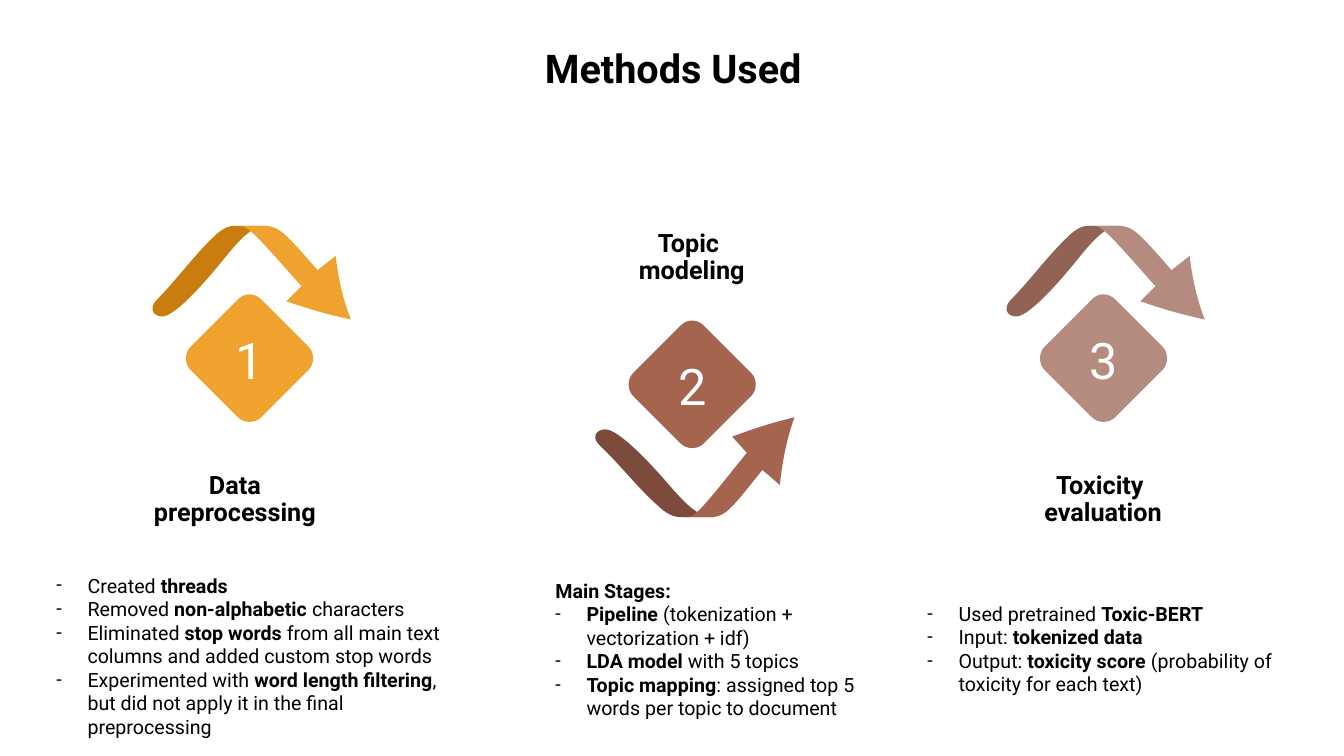
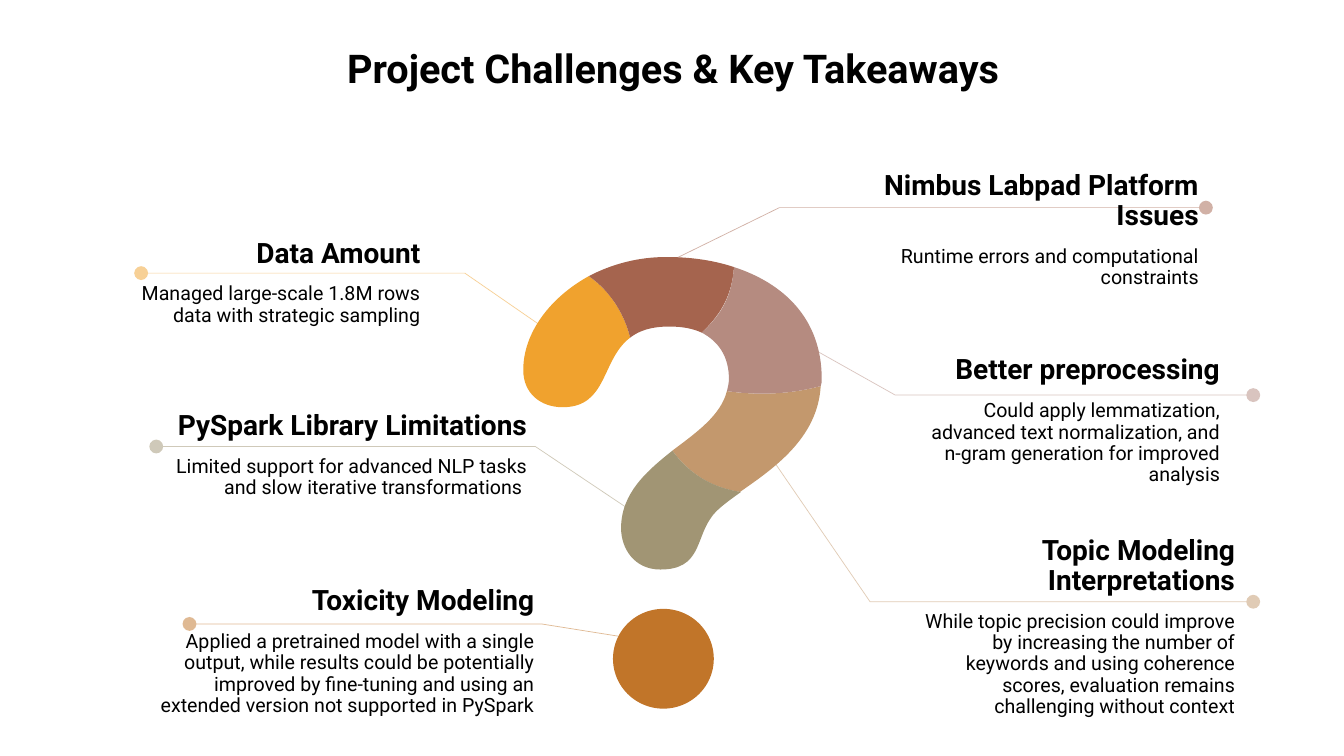
from lxml.etree import SubElement
from pptx import Presentation
from pptx.dml.color import RGBColor
from pptx.enum.shapes import MSO_SHAPE
from pptx.enum.text import MSO_ANCHOR, MSO_AUTO_SIZE, PP_ALIGN
from pptx.oxml.ns import qn
from pptx.util import Inches, Pt

# Shared look
FONT = "Roboto"
BLACK = RGBColor(0x00, 0x00, 0x00)
WHITE = RGBColor(0xFF, 0xFF, 0xFF)
AMBER = RGBColor(0xF0, 0xA2, 0x2E)
OCHRE = RGBColor(0xC8, 0x7D, 0x0E)
RUST = RGBColor(0xA5, 0x64, 0x4E)
BROWN = RGBColor(0x7C, 0x4B, 0x3B)
ROSE = RGBColor(0xB5, 0x8B, 0x80)
MAUVE = RGBColor(0x92, 0x62, 0x55)
TAN = RGBColor(0xC3, 0x98, 0x6D)
OLIVE = RGBColor(0xA1, 0x95, 0x74)
COPPER = RGBColor(0xC1, 0x75, 0x29)

# Outlines in inches: start point, then lines (2 numbers) or curves (6 numbers)
TAIL = [(.87, 0), (.83, 0, .76, 0, .65, .11), (.44, .31, .28, .54, .08, .74),
        (0, .83, .06, .9, .14, .9), (.27, .9, .59, .53, .75, .33),
        (.89, .16, 1.02, 0, 1.17, 0)]
HEAD = [(.5, .75), (.65, .6), (.12, 0, .12, 0, 0, 0), (.3, 0),
        (.44, .01, .51, .1, .81, .44), (.99, .3),
        (1.02, .57, 1.08, .78, 1.14, .93), (.87, .87, .74, .83, .5, .75)]
DIAMOND = [(.63, 0), (.68, 0, .72, .02, .75, .05), (1.22, .52),
           (1.28, .58, 1.28, .69, 1.22, .75), (.75, 1.22),
           (.69, 1.28, .58, 1.28, .52, 1.22), (.05, .75),
           (-.01, .69, -.01, .58, .05, .52), (.52, .05),
           (.55, .02, .59, 0, .63, 0)]
MARK = [
    (AMBER, [(.65, .19), (.27, .4, 0, .75, 0, 1.12),
             (0, 1.36, .18, 1.49, .39, 1.49),
             (.84, 1.49, .77, 1.02, 1.06, .8),
             (1.01, .59, .88, .35, .65, .19)]),
    (TAN, [(2.95, 1.28), (2.62, 1.37, 2.29, 1.37, 2.02, 1.33),
           (1.96, 1.57, 1.72, 1.74, 1.48, 1.92),
           (1.6, 2.09, 1.81, 2.28, 2.15, 2.33),
           (2.48, 2.1, 2.92, 1.8, 2.95, 1.28)]),
    (RUST, [(2.09, .1), (1.88, .03, 1.65, 0, 1.42, 0),
            (1.14, 0, .88, .07, .65, .19), (.88, .35, 1.01, .59, 1.06, .8),
            (1.15, .73, 1.27, .69, 1.45, .69),
            (1.58, .69, 1.68, .71, 1.77, .75),
            (1.97, .56, 2.07, .37, 2.09, .1)]),
    (ROSE, [(2.95, 1.28), (2.96, 1.26, 2.96, 1.23, 2.96, 1.21),
            (2.96, .61, 2.58, .26, 2.09, .1),
            (2.07, .37, 1.98, .56, 1.77, .75),
            (1.94, .84, 2.04, .99, 2.04, 1.21),
            (2.04, 1.25, 2.03, 1.29, 2.02, 1.33),
            (2.29, 1.37, 2.62, 1.37, 2.95, 1.28)]),
    (OLIVE, [(1.48, 1.92), (1.23, 2.12, .97, 2.34, .97, 2.69),
             (.97, 2.89, 1.1, 3.1, 1.36, 3.1),
             (1.76, 3.1, 1.71, 2.8, 1.86, 2.59),
             (1.91, 2.51, 2.02, 2.43, 2.16, 2.33),
             (1.81, 2.28, 1.6, 2.09, 1.48, 1.92)]),
]

# Steps: number, left, points up, colours, title left, title, notes box, notes
STEPS = [
    ("1", 1.47, True, OCHRE, AMBER, 1.11, "Data preprocessing",
     (.46, 5.64, 4.02, 1.75),
     ["- Created *threads*", "- Removed *non-alphabetic* characters",
      "- Eliminated *stop words* from all main text columns and added "
      "custom stop words",
      "- Experimented with *word length filtering*, but did not apply it "
      "in the final preprocessing"]),
    ("2", 5.86, False, BROWN, RUST, 5.64, "Topic \nmodeling",
     (5.41, 5.69, 3.33, 1.51),
     ["*Main Stages:*",
      "- *Pipeline* (tokenization + vectorization + idf)",
      "- *LDA model *with 5 topics",
      "- *Topic mapping*: assigned top 5 words per topic to document"]),
    ("3", 9.94, True, MAUVE, ROSE, 9.72, "Toxicity \nevaluation",
     (9.1, 5.92, 4.02, 1.04),
     ["- Used pretrained *Toxic-BERT*", "- Input: *tokenized data*",
      "- Output: *toxicity score *(probability of toxicity for each text)"]),
]

# Callouts: colour, text box, then target, elbow x, dot x and rule y
# measured from the corner of that box, heading, body
CALLS = [
    (AMBER, (1.05, 2.32, 3.25, .98), (4.37, .95), 3.56, .35, .39,
     "Data Amount",
     "Managed large-scale 1.8M rows data with strategic sampling"),
    (RUST, (7.94, 1.65, 4.08, .98), (-1.27, .93), -.21, 4.02, .41,
     "Nimbus Labpad Platform Issues",
     "Runtime errors and computational constraints"),
    (ROSE, (9.01, 3.48, 3.22, 1.41), (-1.02, -.06), -.13, 3.42, .44,
     "Better preprocessing",
     "Could apply lemmatization, advanced text normalization, and n-gram "
     "generation for improved analysis"),
    (TAN, (8.84, 5.27, 3.54, 1.92), (-1.17, -.7), -.21, 3.59, .7,
     "Topic Modeling Interpretations",
     "While topic precision could improve by increasing the number of "
     "keywords and using coherence scores, evaluation remains challenging "
     "without context"),
    (OLIVE, (1.61, 4.03, 3.75, .98), (4.64, 1.03), 3.7, -.06, .4,
     "PySpark Library Limitations",
     "Limited support for advanced NLP tasks and slow iterative "
     "transformations "),
    (COPPER, (1.41, 5.77, 4.02, 1.41), (4.84, .56), 3.96, .47, .42,
     "Toxicity Modeling",
     "Applied a pretrained model with a single output, while results could "
     "be potentially improved by fine-tuning and using an extended version "
     "not supported in PySpark"),
]


def add_run(para, text, size, bold=False, color=BLACK):
    run = para.add_run()
    run.text = text
    font = run.font
    font.name, font.size, font.bold = FONT, Pt(size), bold
    font.color.rgb = color


def add_box(slide, box, side=.1, foot=.05):
    frame = slide.shapes.add_textbox(*map(Inches, box)).text_frame
    frame.word_wrap = True
    frame.auto_size = MSO_AUTO_SIZE.SHAPE_TO_FIT_TEXT
    frame.margin_left = frame.margin_right = Inches(side)
    frame.margin_top, frame.margin_bottom = Inches(.05), Inches(foot)
    return frame


def next_para(frame, first):
    return frame.paragraphs[0] if first else frame.add_paragraph()


def draw(slide, route, x, y, sx=1, sy=1, close=True):
    dots = [(Inches(x + part[k] * sx), Inches(y + part[k + 1] * sy))
            for part in route for k in range(0, len(part), 2)]
    pen = slide.shapes.build_freeform(*dots[0])
    pen.add_line_segments(dots[1:], close=close)
    shape = pen.convert_to_shape()
    shape.shadow.inherit = False
    # Join the three points of each curve into one Bézier segment
    legs = iter(shape._element.findall(".//" + qn("a:lnTo")))
    for part in route[1:]:
        leg = next(legs)
        if len(part) == 6:
            leg.tag = qn("a:cubicBezTo")
            for _ in range(2):
                extra = next(legs)
                leg.append(extra[0])
                extra.getparent().remove(extra)
    return shape


def paint(shape, color):
    shape.shadow.inherit = False
    shape.fill.solid()
    shape.fill.fore_color.rgb = color
    shape.line.fill.background()
    return shape


def add_slide(deck, text):
    slide = deck.slides.add_slide(deck.slide_layouts[5])
    title = slide.shapes.title
    title.left, title.top = Inches(.93), Inches(.4)
    title.width, title.height = Inches(11.5), Inches(.56)
    frame = title.text_frame
    frame.auto_size = MSO_AUTO_SIZE.NONE
    frame.vertical_anchor = MSO_ANCHOR.BOTTOM
    para = frame.paragraphs[0]
    para.alignment, para.line_spacing = PP_ALIGN.CENTER, .9
    add_run(para, text, 28.3, True)
    return slide


def add_notes(slide, box, lines):
    frame = add_box(slide, box)
    for i, line in enumerate(lines):
        para = next_para(frame, i == 0)
        if line.startswith("- "):
            props = para._p.get_or_add_pPr()
            props.set("marL", str(Inches(.31)))
            props.set("indent", str(Inches(-.31)))
            SubElement(props, qn("a:buFont")).set("typeface", FONT)
            SubElement(props, qn("a:buChar")).set("char", "-")
            line = line[2:]
        # Text between asterisks is bold
        for k, bit in enumerate(line.split("*")):
            if bit:
                add_run(para, bit, 14, k % 2 == 1)


def add_step(slide, num, left, up, dark, light, edge, name, box, lines):
    top = 2.24
    # Ribbon arrow, turned over when it points down
    if up:
        tail, head = (left, top), (left + .87, top)
    else:
        tail = (left, top + 2.89, 1.21 / 1.17, -.87 / .9)
        head = (left + .92, top + 2.89, 1.1 / 1.14, -.99 / .93)
    paint(draw(slide, TAIL, *tail), dark)
    paint(draw(slide, HEAD, *head), light)
    # Numbered diamond
    gem = paint(draw(slide, DIAMOND, left + .37, top + (.68 if up else .94)),
                light)
    gem.text_frame.vertical_anchor = MSO_ANCHOR.MIDDLE
    para = gem.text_frame.paragraphs[0]
    para.alignment = PP_ALIGN.CENTER
    add_run(para, num, 36, color=WHITE)
    # Step title
    frame = add_box(slide, (edge, top + (2.4 if up else 0), 2.44, .66),
                    .13, .07)
    para = frame.paragraphs[0]
    para.alignment, para.line_spacing = PP_ALIGN.CENTER, .89
    for i, word in enumerate(name.split("\n")):
        if i:
            para.add_line_break()
        add_run(para, word, 18, True)
    add_notes(slide, box, lines)


def add_mark(slide, x, y):
    dot = slide.shapes.add_shape(MSO_SHAPE.OVAL, Inches(x + .89),
                                 Inches(y + 3.49), Inches(1), Inches(.99))
    paint(dot, COPPER)
    for color, route in MARK:
        paint(draw(slide, route, x, y), color)


def add_call(slide, color, box, goal, bend, end, drop, head, body):
    # Leader line with a round end
    rule = draw(slide, [goal, (bend, drop), (end, drop)], *box[:2],
                close=False)
    rule.fill.background()
    rule.line.width = Pt(.5)
    rule.line.color.rgb = color
    line = rule.line._get_or_add_ln()
    tint = line.find(".//" + qn("a:srgbClr"))
    SubElement(tint, qn("a:alpha")).set("val", "50000")
    tip = SubElement(line, qn("a:tailEnd"))
    for key, val in (("type", "oval"), ("w", "lg"), ("len", "lg")):
        tip.set(key, val)
    # Heading and body
    frame = add_box(slide, box, .13)
    for text, size in ((head, 20), (body, 14)):
        para = next_para(frame, text == head)
        para.alignment, para.line_spacing = PP_ALIGN.RIGHT, .9
        para.space_before = Pt(10.7)
        add_run(para, text, size, size == 20)


def main():
    deck = Presentation()
    deck.slide_width, deck.slide_height = Inches(13.33), Inches(7.5)
    slide = add_slide(deck, "Methods Used")
    for step in STEPS:
        add_step(slide, *step)
    slide = add_slide(deck, "Project Challenges & Key Takeaways")
    add_mark(slide, 5.19, 2.55)
    for call in CALLS:
        add_call(slide, *call)
    deck.save("out.pptx")


if __name__ == "__main__":
    main()
